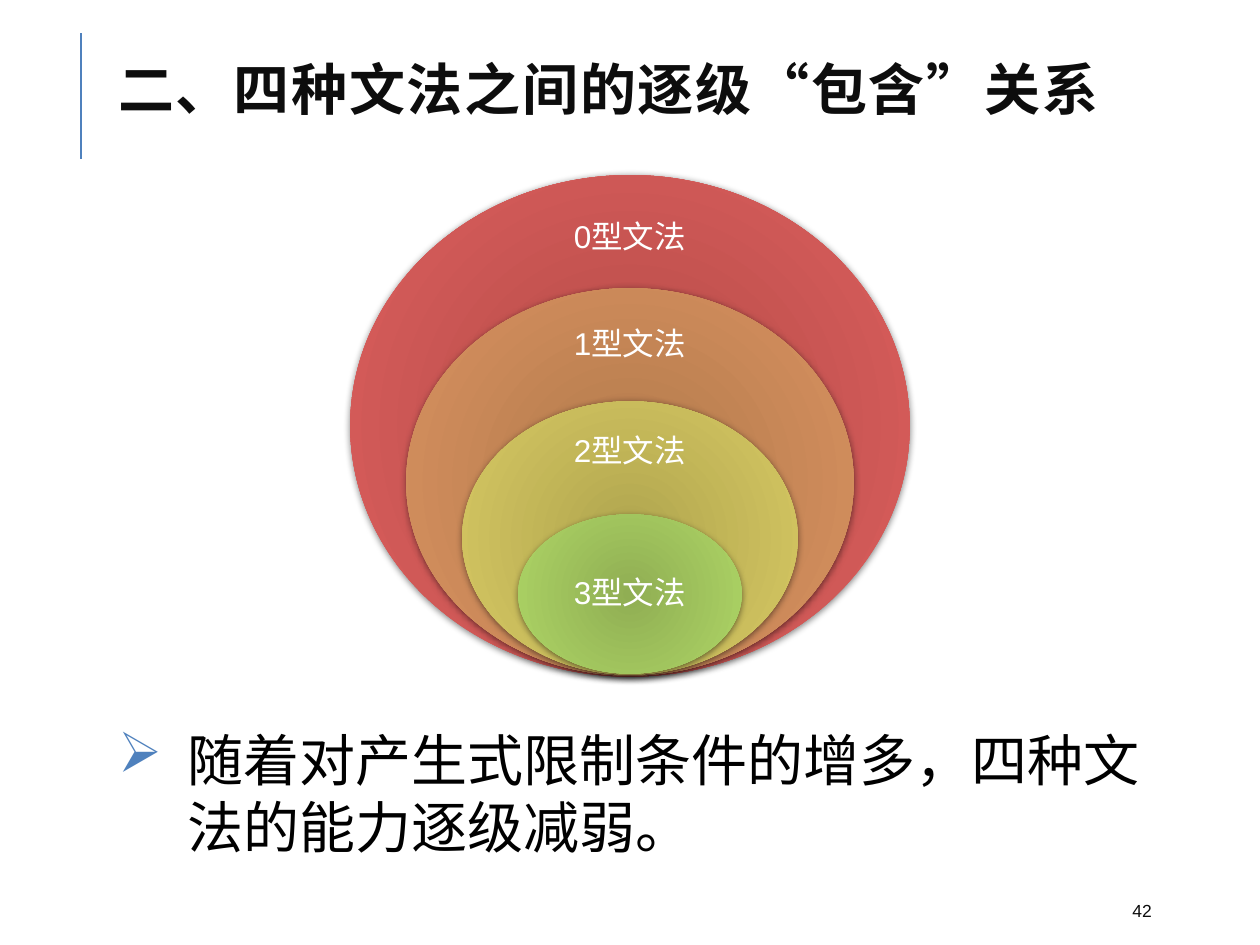
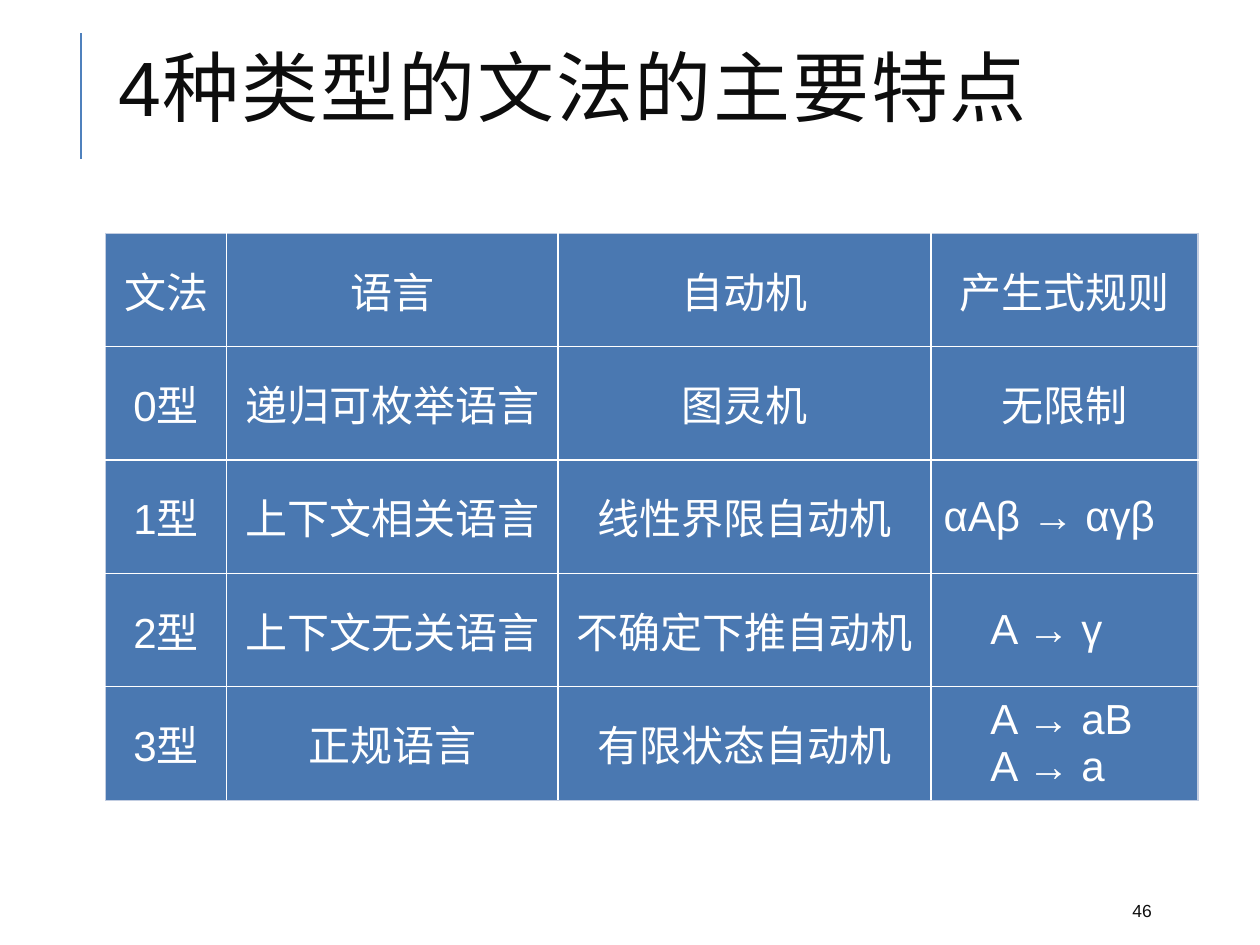
from lxml import etree
from pptx import Presentation
from pptx.dml.color import RGBColor
from pptx.enum import lang, shapes, text
from pptx.oxml import ns
from pptx.util import Cm, Pt

COLOURS = {
    "accent": "4F81BD",
    "title": "0D0D0D",
    "body": "000000",
    "white": "FFFFFF",
    "cell": "4A78B1",
    "table_edge": "C2CDE1",
}
FONT = "Arial"
TITLE_BOX = (2.13, 0.66, 21.59, 2.49)
NUMBER_BOX = (22.58, 17.98, 2.03, 0.76)

# Each grammar with the dark centre and light edge of its ellipse
GRAMMARS = [
    ("0型文法", "B34B48", "DD5F5D"),
    ("1型文法", "B17A4C", "DA9260"),
    ("2型文法", "B0A54F", "D8CA63"),
    ("3型文法", "90AE53", "AED666"),
]
FEATURES = [
    ("文法", "语言", "自动机", "产生式规则"),
    ("0型", "递归可枚举语言", "图灵机", "无限制"),
    ("1型", "上下文相关语言", "线性界限自动机", "αAβ → αγβ"),
    ("2型", "上下文无关语言", "不确定下推自动机", "A → γ"),
    ("3型", "正规语言", "有限状态自动机", "A → aB\nA → a"),
]


def colour(name):
    return RGBColor.from_string(COLOURS.get(name, name))


def add_xml(parent, tag, **attributes):
    child = etree.SubElement(parent, ns.qn(tag))
    for key, value in attributes.items():
        child.set(key, str(value))
    return child


def write(frame, content, *, size, ink, bold=False, align=None, line=None,
          after=None, spacing=None, indent=0, bullet=None):
    """Fill a text frame, one paragraph for each line of content."""
    for number, words in enumerate(content.split("\n")):
        para = frame.add_paragraph() if number else frame.paragraphs[0]
        para.alignment = align
        if line:
            para.line_spacing = line
        if after:
            para.space_after = Pt(after)
        properties = para._p.get_or_add_pPr()
        if indent:
            properties.set("marL", str(Cm(indent)))
        if bullet:
            properties.set("indent", str(-Cm(indent)))
            add_xml(add_xml(properties, "a:buClr"), "a:srgbClr", val=COLOURS["accent"])
            add_xml(properties, "a:buChar", char=bullet)
        span = para.add_run()
        span.text = words
        font = span.font
        font.name, font.size, font.bold = FONT, Pt(size), bold
        font.color.rgb = colour(ink)
        font.language_id = lang.MSO_LANGUAGE_ID.SIMPLIFIED_CHINESE
        if spacing:
            span._r.get_or_add_rPr().set("spc", str(spacing * 100))


def add_text(parent, box, content, *, middle=True, wrap=True, inset=None, **style):
    frame = parent.add_textbox(*map(Cm, box)).text_frame
    frame.word_wrap = wrap
    frame.vertical_anchor = text.MSO_ANCHOR.MIDDLE if middle else text.MSO_ANCHOR.TOP
    if inset is not None:
        frame.margin_left = frame.margin_right = Cm(inset)
        frame.margin_top = frame.margin_bottom = Cm(inset)
    write(frame, content, **style)


def add_page(deck, title, number, *, size, bold=False):
    """Blank page with the shared rule, title and page number."""
    page = deck.slides.add_slide(deck.slide_layouts[6])
    left, top, _, height = TITLE_BOX
    rule_x = left - 0.5
    rule = page.shapes.add_connector(
        shapes.MSO_CONNECTOR.STRAIGHT,
        Cm(rule_x), Cm(top + height + 0.05), Cm(rule_x), Cm(top))
    rule.line.color.rgb = colour("accent")
    rule.line.width = Pt(1.5)
    add_xml(rule._element.spPr, "a:effectLst")
    add_text(page.shapes, NUMBER_BOX, number, size=10, ink="title")
    add_text(page.shapes, TITLE_BOX, title, size=size, ink="title", bold=bold,
             line=0.8, spacing=1)
    return page


def add_ellipse(parent, box, centre, edge):
    ellipse = parent.add_shape(shapes.MSO_SHAPE.OVAL, *map(Cm, box))
    ellipse.line.fill.background()
    # Radial gradient
    ellipse.fill.gradient()
    for stop, value in zip(ellipse.fill.gradient_stops, (centre, edge)):
        stop.color.rgb = colour(value)
    gradient = ellipse._element.spPr.find(ns.qn("a:gradFill"))
    gradient.remove(gradient.find(ns.qn("a:lin")))
    circle = add_xml(gradient, "a:path", path="circle")
    add_xml(circle, "a:fillToRect", **dict.fromkeys("ltrb", 100000))
    # Soft shadow below
    ellipse.shadow.inherit = False
    effects = ellipse._element.spPr.find(ns.qn("a:effectLst"))
    shadow = add_xml(effects, "a:outerShdw", blurRad=Pt(4), dist=Pt(1),
                     dir=90 * 60000, rotWithShape=0)
    add_xml(add_xml(shadow, "a:srgbClr", val="000000"), "a:alpha", val=50000)


def add_nested_ellipses(page, box):
    """Ellipses that shrink by a fifth of the width, nearly sharing a base."""
    left, top, width, height = box
    group = page.shapes.add_group_shape().shapes
    label_width = 3.15
    for level, (name, centre, edge) in enumerate(GRAMMARS):
        oval_width = width * (1 - level / 5)
        oval_top = top + 2.28 * level
        oval_height = height - 2.3 * level
        add_ellipse(group, (left + (width - oval_width) / 2, oval_top,
                            oval_width, oval_height), centre, edge)
        if level == len(GRAMMARS) - 1:
            gap, label_height = oval_height / 4, oval_height / 2
        else:
            gap, label_height = 0.51 - 0.05 * level, 1.52 - 0.14 * level
        add_text(group, (left + (width - label_width) / 2, oval_top + gap,
                         label_width, label_height),
                 name, wrap=False, inset=0.36, size=18, ink="white",
                 align=text.PP_ALIGN.CENTER, line=0.9, after=6.3)


def add_borders(cell, outer_sides):
    properties = cell._tc.get_or_add_tcPr()
    for side in "LRTB":
        outer = side in outer_sides
        border = add_xml(properties, f"a:ln{side}", w=Pt(0.75 if outer else 1))
        add_xml(add_xml(border, "a:solidFill"), "a:srgbClr",
                val=COLOURS["table_edge" if outer else "white"])


def add_feature_table(page, box, column_widths):
    row_count, column_count = len(FEATURES), len(FEATURES[0])
    table = page.shapes.add_table(row_count, column_count, *map(Cm, box)).table
    table.first_row = table.horz_banding = False
    for column, width in zip(table.columns, column_widths):
        column.width = Cm(width)
    for row_index, row in enumerate(FEATURES):
        table.rows[row_index].height = Cm(box[3] / row_count)
        for column_index, content in enumerate(row):
            cell = table.cell(row_index, column_index)
            edges = {"L": column_index == 0, "R": column_index == column_count - 1,
                     "T": row_index == 0, "B": row_index == row_count - 1}
            add_borders(cell, [side for side, is_edge in edges.items() if is_edge])
            cell.fill.solid()
            cell.fill.fore_color.rgb = colour("cell")
            cell.vertical_anchor = text.MSO_ANCHOR.MIDDLE
            # Production rules are left-aligned; the short ones are indented
            is_rule = "→" in content
            write(cell.text_frame, content, size=24, ink="white",
                  align=text.PP_ALIGN.LEFT if is_rule else text.PP_ALIGN.CENTER,
                  indent=0.94 if content.startswith("A →") else 0)


def build_inclusion_page(deck):
    page = add_page(deck, "二、四种文法之间的逐级“包含”关系", "42", size=32, bold=True)
    add_text(page.shapes, (2.13, 14.5, 21.59, 3.48),
             "随着对产生式限制条件的增多，四种文法的能力逐级减弱。",
             middle=False, size=32, ink="body", after=6, indent=1.4, bullet="➢")
    add_nested_ellipses(page, (7.06, 3.53, 11.28, 10.11))


def build_feature_page(deck):
    page = add_page(deck, "4种类型的文法的主要特点", "46", size=44)
    add_feature_table(page, (2.13, 4.7, 22.02, 11.43), (2.44, 6.68, 7.52, 5.38))


def main():
    deck = Presentation()
    deck.slide_width, deck.slide_height = Cm(25.4), Cm(19.05)
    build_inclusion_page(deck)
    build_feature_page(deck)
    deck.save("out.pptx")


if __name__ == "__main__":
    main()
